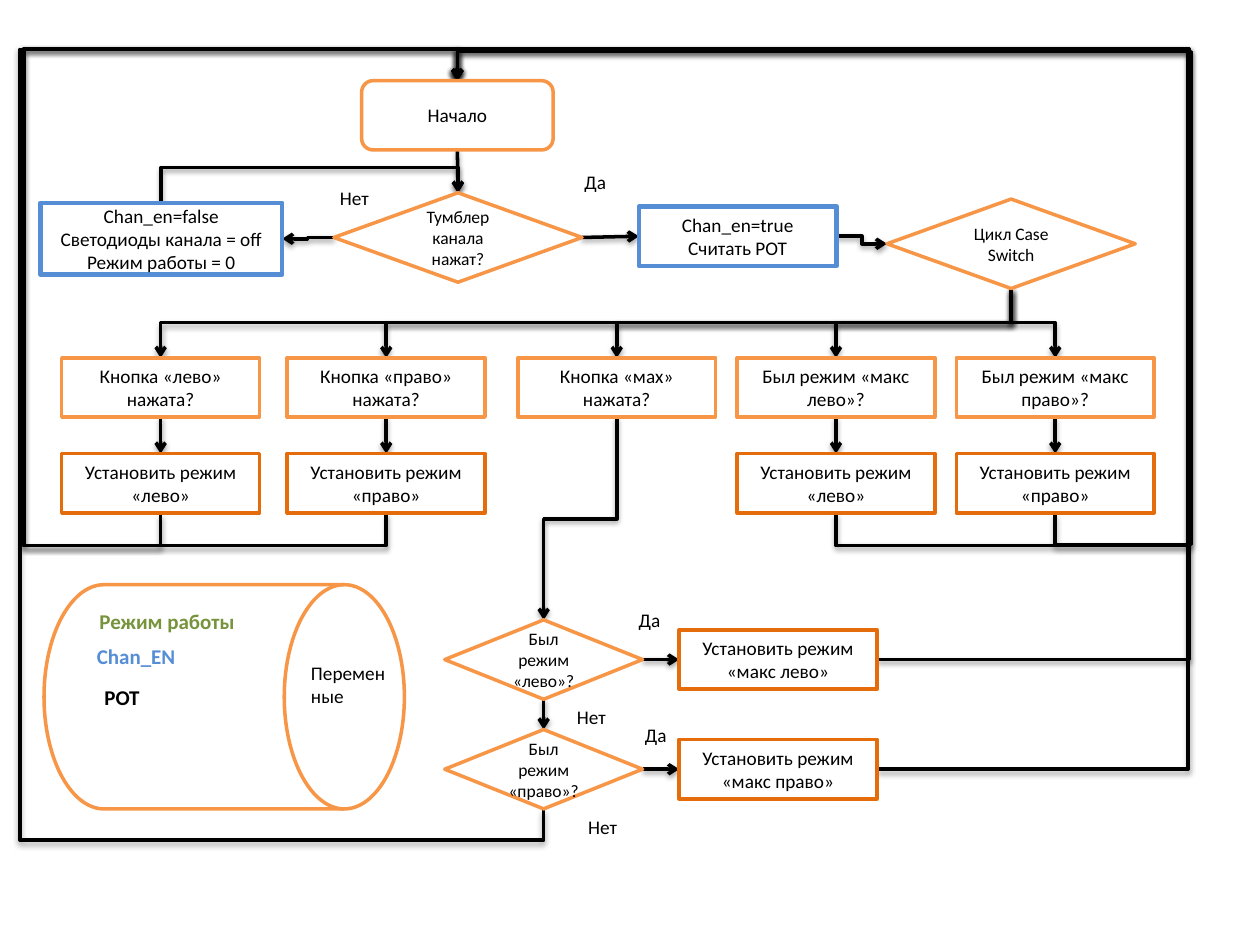
from lxml import etree
from pptx import Presentation
from pptx.dml.color import RGBColor
from pptx.enum.shapes import MSO_CONNECTOR, MSO_SHAPE
from pptx.enum.text import MSO_ANCHOR, MSO_AUTO_SIZE, PP_ALIGN
from pptx.oxml.ns import qn
from pptx.util import Inches, Pt

PROCESS = MSO_SHAPE.FLOWCHART_PROCESS
DECISION = MSO_SHAPE.FLOWCHART_DECISION
ROUNDED = MSO_SHAPE.FLOWCHART_ALTERNATE_PROCESS
DRUM = MSO_SHAPE.FLOWCHART_DIRECT_ACCESS_STORAGE
STRAIGHT, ELBOW = MSO_CONNECTOR.STRAIGHT, MSO_CONNECTOR.ELBOW
MIDDLE, CENTER, LEFT = MSO_ANCHOR.MIDDLE, PP_ALIGN.CENTER, PP_ALIGN.LEFT
FIT = MSO_AUTO_SIZE.SHAPE_TO_FIT_TEXT

FONT = "Calibri"
BLACK, WHITE, BLUE, GREEN = "000000", "FFFFFF", "558ED5", "77933C"
ORANGE, DARK_ORANGE = "F79646", "E46C0A"

# Kind: preset, outline colour, outline width, text size
KINDS = {
    "start": (ROUNDED, ORANGE, 2, 11),
    "decision": (DECISION, ORANGE, 2, 10),
    "channel": (PROCESS, BLUE, 2.5, 11),
    "case": (PROCESS, ORANGE, 2, 11),
    "action": (PROCESS, DARK_ORANGE, 2, 11),
    "storage": (DRUM, ORANGE, 2, 11),
}
STEP_W, STEP_H = 1.57, 0.47
CASE_TOP, ACTION_TOP = 2.84, 3.6

# Name: kind, text, (left, top, width, height)
BOXES = {
    "toggle": ("decision", "Тумблер канала нажат?", (2.65, 1.53, 1.97, 0.71)),
    "on": ("channel", "Chan_en=true\nСчитать POT", (5.07, 1.64, STEP_W, STEP_H)),
    "off": ("channel", "Chan_en=false\nСветодиоды канала = off\nРежим работы = 0",
            (0.32, 1.61, 1.92, 0.57)),
    "switch": ("decision", "Цикл Case Switch", (7.04, 1.58, 1.97, 0.71)),
    "was left": ("decision", "Был режим «лево»?", (3.53, 4.92, STEP_W, 0.63)),
    "was right": ("decision", "Был режим «право»?", (3.53, 5.79, STEP_W, 0.63)),
    "max left": ("action", "Установить режим «макс лево»", (5.39, 5, STEP_W, STEP_H)),
    "max right": ("action", "Установить режим «макс право»", (5.39, 5.87, STEP_W, STEP_H)),
    "start": ("start", "Начало", (2.87, 0.64, 1.52, 0.55)),
    "variables": ("storage", "", (0.35, 4.64, 2.86, 1.78)),
}

# Left edge, case, action
BRANCHES = [
    (0.49, "Кнопка «лево» нажата?", "Установить режим «лево»"),
    (2.28, "Кнопка «право» нажата?", "Установить режим «право»"),
    (4.11, "Кнопка «мах» нажата?", None),
    (5.85, "Был режим «макс лево»?", "Установить режим «лево»"),
    (7.59, "Был режим «макс право»?", "Установить режим «право»"),
]

# From, to, first axis (0 across, 1 down), turn coordinates on alternating axes
ROUTES = [
    (("toggle", "right"), ("on", "left"), 0, []),
    (("toggle", "left"), ("off", "right"), 0, [2.44]),
    (("on", "right"), ("switch", "left"), 0, [6.84]),
    (("was left", "bottom"), ("was right", "top"), 1, []),
    (("was left", "right"), ("max left", "left"), 0, []),
    (("was right", "right"), ("max right", "left"), 0, []),
    (("case 2", "bottom"), ("was left", "top"), 1, [4.12]),
    (("off", "top"), ("toggle", "top"), 1, [1.33]),
    (("start", "bottom"), ("toggle", "top"), 1, []),
    (("was right", "bottom"), ("start", "top"), 1, [6.67, 0.16, 0.39]),
    (("max right", "right"), ("start", "top"), 0, [9.43, 0.39]),
    (("max left", "right"), ("start", "top"), 0, [9.44, 0.4]),
    (("action 3", "bottom"), ("start", "top"), 1, [4.33, 9.44, 0.39]),
    (("action 4", "bottom"), ("start", "top"), 1, [4.32, 9.45, 0.41]),
    (("action 0", "bottom"), ("start", "top"), 1, [4.33, 0.19, 0.39]),
    (("action 1", "bottom"), ("start", "top"), 1, [4.33, 0.19, 0.39]),
]

# Text, (left, top, width, height), wrap, font format
PLAIN = {"size": 11, "color": BLACK}
LABELS = [
    ("Да", (4.54, 1.3, 0.4, 0.29), True, PLAIN),
    ("Нет", (2.6, 1.43, 0.44, 0.29), False, PLAIN),
    ("Да", (4.97, 4.78, 0.38, 0.29), False, PLAIN),
    ("Нет", (4.48, 5.55, 0.44, 0.29), False, PLAIN),
    ("Да", (5.02, 5.69, 0.38, 0.29), False, PLAIN),
    ("Нет", (4.57, 6.42, 0.44, 0.29), False, PLAIN),
    ("Режим работы", (0.69, 4.78, 1.55, 0.3), True, {"size": 12, "color": GREEN, "bold": True}),
    ("Переменные", (2.37, 5.2, 0.84, 0.47), True, PLAIN),
    ("Chan_EN", (0.67, 5.06, 1.55, 0.3), True, {"size": 12, "color": BLUE, "bold": True}),
    ("POT", (0.73, 5.38, 1.55, 0.3), True, {"size": 12, "color": BLACK, "bold": True}),
]


def rgb(code):
    """Turn a hex string into a colour."""
    return RGBColor.from_string(code)


def write(frame, text, align, size, color, bold=False):
    """Fill a text frame, one paragraph for each line."""
    frame.text = text
    for paragraph in frame.paragraphs:
        paragraph.alignment = align
        for run in paragraph.runs:
            for name, value in {"name": FONT, "size": Pt(size), "bold": bold}.items():
                setattr(run.font, name, value)
            run.font.color.rgb = rgb(color)


def add_box(slide, kind, text, place):
    """Draw one outlined step of the flowchart."""
    preset, outline, width, size = KINDS[kind]
    box = slide.shapes.add_shape(preset, *map(Inches, place))
    box.shadow.inherit = False
    box.fill.solid()
    box.fill.fore_color.rgb = rgb(WHITE)
    box.line.color.rgb = rgb(outline)
    box.line.width = Pt(width)
    if text:
        box.text_frame.vertical_anchor = MIDDLE
        write(box.text_frame, text, CENTER, size, BLACK)


def add_label(slide, text, place, wrap, style):
    """Place a free text."""
    frame = slide.shapes.add_textbox(*map(Inches, place)).text_frame
    write(frame, text, LEFT, **style)
    frame.word_wrap = wrap
    frame.auto_size = FIT


def port(name, side):
    """Give the middle of one side of a box."""
    left, top, width, height = BOXES[name][2]
    across, down = {"left": (0, 0.5), "right": (1, 0.5),
                    "top": (0.5, 0), "bottom": (0.5, 1)}[side]
    return left + across * width, top + down * height


def child(parent, tag, **attributes):
    """Append a DrawingML element."""
    return etree.SubElement(parent, qn("a:" + tag),
                            {key: str(value) for key, value in attributes.items()})


def bend(connector, start, end, axis, turns):
    """Shape an elbow so that it turns at the given coordinates."""
    delta = [end[0] - start[0], end[1] - start[1]]
    width, height = abs(delta[axis]), abs(delta[1 - axis])
    connector.left = Inches((start[0] + end[0] - width) / 2)
    connector.top = Inches((start[1] + end[1] - height) / 2)
    connector.width, connector.height = Inches(width), Inches(height)
    flips = (delta[1] < 0, delta[0] > 0) if axis else (delta[0] < 0, delta[1] < 0)
    properties = connector._element.spPr
    frame = properties.find(qn("a:xfrm"))
    frame.set("rot", str(5400000 * axis))
    for name, flipped in zip(("flipH", "flipV"), flips):
        frame.set(name, str(int(flipped)))
    geometry = properties.find(qn("a:prstGeom"))
    geometry.set("prst", f"bentConnector{len(turns) + 2}")
    guides = geometry.find(qn("a:avLst"))
    if guides is None:
        guides = child(geometry, "avLst")
    for index, turn in enumerate(turns):
        side = (axis + index) % 2
        share = round(100000 * (turn - start[side]) / delta[side])
        child(guides, "gd", name=f"adj{index + 1}", fmla=f"val {share}")


def add_route(slide, source, target, axis, turns):
    """Draw a shadowed arrow between two boxes."""
    start, end = port(*source), port(*target)
    connector = slide.shapes.add_connector(
        ELBOW if turns else STRAIGHT, *map(Inches, start + end))
    if turns:
        bend(connector, start, end, axis, turns)
    connector.line.color.rgb = rgb(BLACK)
    connector.line.width = Pt(2)
    properties = connector._element.spPr
    child(properties.find(qn("a:ln")), "tailEnd", type="arrow")
    shadow = child(child(properties, "effectLst"), "outerShdw", blurRad=Pt(3.1),
                   dist=Pt(1.6), dir=5400000, rotWithShape=0)
    child(child(shadow, "srgbClr", val=BLACK), "alpha", val=38000)


for number, (left, case, action) in enumerate(BRANCHES):
    BOXES[f"case {number}"] = ("case", case, (left, CASE_TOP, STEP_W, STEP_H))
    ROUTES.append((("switch", "bottom"), (f"case {number}", "top"), 1, [2.56]))
    if action:
        BOXES[f"action {number}"] = ("action", action, (left, ACTION_TOP, STEP_W, STEP_H))
        ROUTES.append(((f"case {number}", "bottom"), (f"action {number}", "top"), 1, []))

deck = Presentation()
deck.slide_width, deck.slide_height = Inches(10), Inches(7.5)
flowchart = deck.slides.add_slide(deck.slide_layouts[6])
for route in ROUTES:
    add_route(flowchart, *route)
for step in BOXES.values():
    add_box(flowchart, *step)
for label in LABELS:
    add_label(flowchart, *label)
deck.save("out.pptx")
